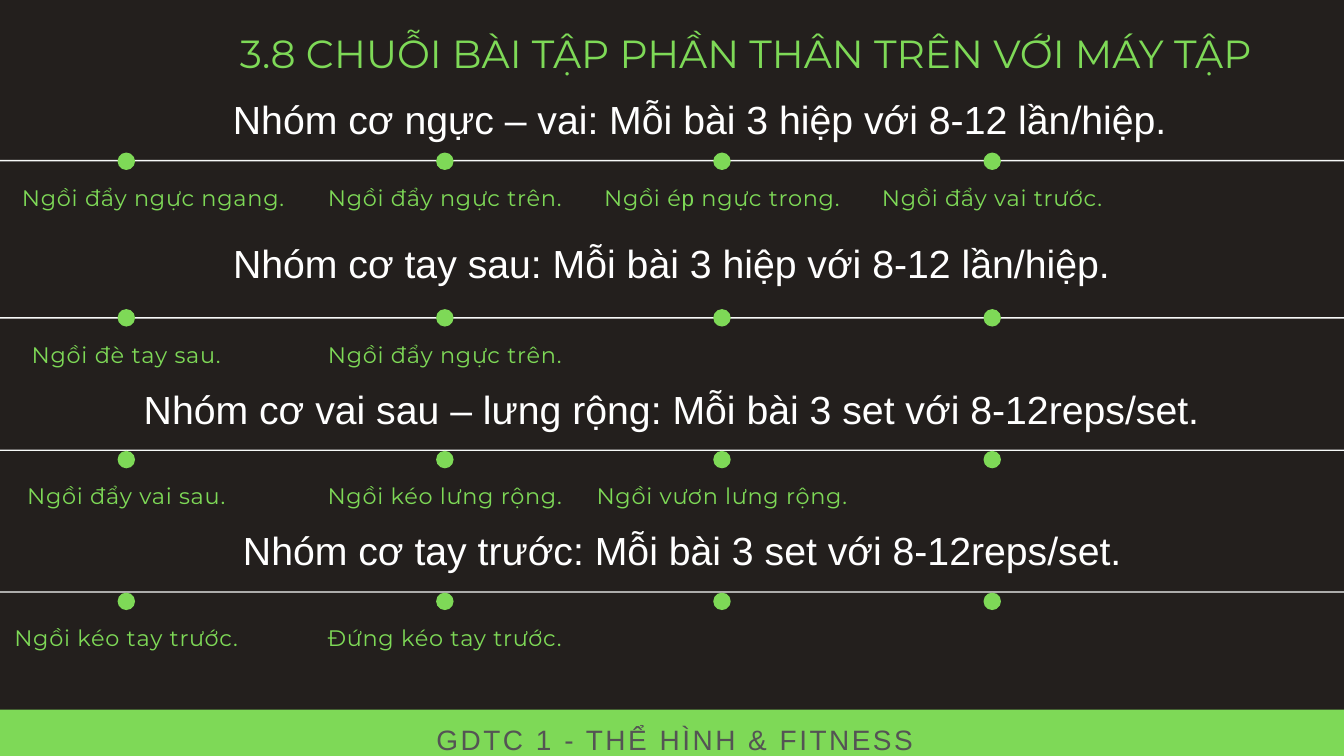
from dataclasses import dataclass

from pptx import Presentation
from pptx.dml.color import RGBColor
from pptx.enum.shapes import MSO_SHAPE as Shape
from pptx.enum.text import MSO_ANCHOR as Anchor, MSO_AUTO_SIZE as AutoSize, PP_ALIGN as Align
from pptx.util import Inches, Pt

WIDTH, HEIGHT = Inches(20), Inches(11.25)
COLUMN, ROW = WIDTH / 100, HEIGHT / 100

COLORS = {
    "background": "231F1D",
    "green": "7ED957",
    "line": "F7F9F8",
    "white": "FFFFFF",
    "gray": "545454",
}
DOT_CENTERS = (9.4, 33.1, 53.72, 73.83)
DOT_WIDTH, DOT_HEIGHT = 1.3, 2.31
WIDE, MEDIUM, NARROW = 22.25, 21.1, 18.25


@dataclass
class Style:
    size: float
    font: str
    color: str
    line: float
    tracking: float = 0


TITLE = Style(42, "Montserrat", "green", 48.3)
HEADING = Style(42, "Arial", "white", 58.8)
LABEL = Style(24, "Montserrat", "green", 30, 0.8)
FOOTER = Style(30, "Arial", "gray", 42, 2.7)


@dataclass
class Band:
    heading: str
    box: tuple
    line_top: float
    dot_top: float
    labels: list
    first_shift: float = 0


BANDS = [
    Band("Nhóm cơ ngực – vai: Mỗi bài 3 hiệp với 8-12 lần/hiệp.",
         (5.6, 11.56, 92.95, 7.11), 9.6, 8.62,
         [([("Ngồi đẩy ngực ngang.", None)], WIDE),
          ([("Ngồi đẩy ngực trên.", None)], MEDIUM),
          ([("Ngồi é", None), ("p", "Arial"), (" ngực trong.", None)], NARROW),
          ([("Ngồi đẩy vai trước.", None)], NARROW)], 2),
    Band("Nhóm cơ tay sau: Mỗi bài 3 hiệp với 8-12 lần/hiệp.",
         (3.5, 30.67, 92.95, 7.11), 11.29, 10.22,
         [([("Ngồi đè tay sau.", None)], WIDE),
          ([("Ngồi đẩy ngực trên.", None)], MEDIUM)]),
    Band("Nhóm cơ vai sau – lưng rộng: Mỗi bài 3 set với 8-12reps/set.",
         (3.5, 49.87, 92.95, 7.11), 9.6, 9.77,
         [([("Ngồi đẩy vai sau.", None)], WIDE),
          ([("Ngồi kéo lưng rộng.", None)], MEDIUM),
          ([("Ngồi vươn lưng rộng.", None)], MEDIUM)]),
    Band("Nhóm cơ tay trước: Mỗi bài 3 set với 8-12reps/set.",
         (4.3, 68.62, 92.95, 7.11), 9.6, 9.77,
         [([("Ngồi kéo tay trước.", None)], WIDE),
          ([("Đứng kéo tay trước.", None)], MEDIUM)]),
]


def place(box):
    left, top, width, height = box
    return round(left * COLUMN), round(top * ROW), round(width * COLUMN), round(height * ROW)


def write(shape, runs, style):
    frame = shape.text_frame
    frame.margin_left = frame.margin_right = frame.margin_top = frame.margin_bottom = 0
    frame.word_wrap = True
    frame.auto_size = AutoSize.SHAPE_TO_FIT_TEXT
    frame.vertical_anchor = Anchor.TOP
    paragraph = frame.paragraphs[0]
    paragraph.alignment = Align.CENTER
    paragraph.line_spacing = Pt(style.line)
    paragraph.space_before = Pt(0)
    for text, font in runs:
        run = paragraph.add_run()
        run.text = text
        run.font.size = Pt(style.size)
        run.font.name = font or style.font
        run.font.color.rgb = RGBColor.from_string(COLORS[style.color])
        if style.tracking:
            run._r.get_or_add_rPr().set("spc", str(round(style.tracking * 100)))


def add_text(slide, box, runs, style):
    write(slide.shapes.add_textbox(*place(box)), runs, style)


def add_filled(slide, kind, box, color):
    shape = slide.shapes.add_shape(kind, *place(box))
    shape.shadow.inherit = False
    shape.fill.solid()
    shape.fill.fore_color.rgb = RGBColor.from_string(COLORS[color])
    shape.line.fill.background()


def add_title(slide, box):
    title = slide.shapes.title
    title.left, title.top, title.width, title.height = place(box)
    write(title, [("3.8 CHUỖI BÀI TẬP PHẦN THÂN TRÊN VỚI MÁY TẬP", None)], TITLE)


def add_band(slide, band):
    top = band.box[1]
    dot_top = top + band.dot_top
    add_text(slide, band.box, [(band.heading, None)], HEADING)
    add_filled(slide, Shape.RECTANGLE, (-4.1, top + band.line_top, 104.1, 0.18), "line")
    for center in DOT_CENTERS:
        add_filled(slide, Shape.OVAL,
                   (center - DOT_WIDTH / 2, dot_top, DOT_WIDTH, DOT_HEIGHT), "green")
    for index, (center, (runs, width)) in enumerate(zip(DOT_CENTERS, band.labels)):
        shift = 0 if index else band.first_shift
        add_text(slide, (center - width / 2 + shift, dot_top + 4.04, width, 3.64), runs, LABEL)


def add_footer(slide, box):
    left, top, width, height = box
    add_filled(slide, Shape.RECTANGLE, box, "green")
    add_text(slide, (left + 35.9, top + 0.97, 37.65, 5.16),
             [("GDTC 1 - THỂ HÌNH & FITNESS", None)], FOOTER)


def main():
    presentation = Presentation()
    presentation.slide_width, presentation.slide_height = WIDTH, HEIGHT
    slide = presentation.slides.add_slide(presentation.slide_layouts[5])
    slide.background.fill.solid()
    slide.background.fill.fore_color.rgb = RGBColor.from_string(COLORS["background"])
    add_title(slide, (13.7, 4.09, 83.55, 6.04))
    for band in BANDS:
        add_band(slide, band)
    add_footer(slide, (-4.5, 93.87, 109, 10.4))
    presentation.save("out.pptx")


if __name__ == "__main__":
    main()
